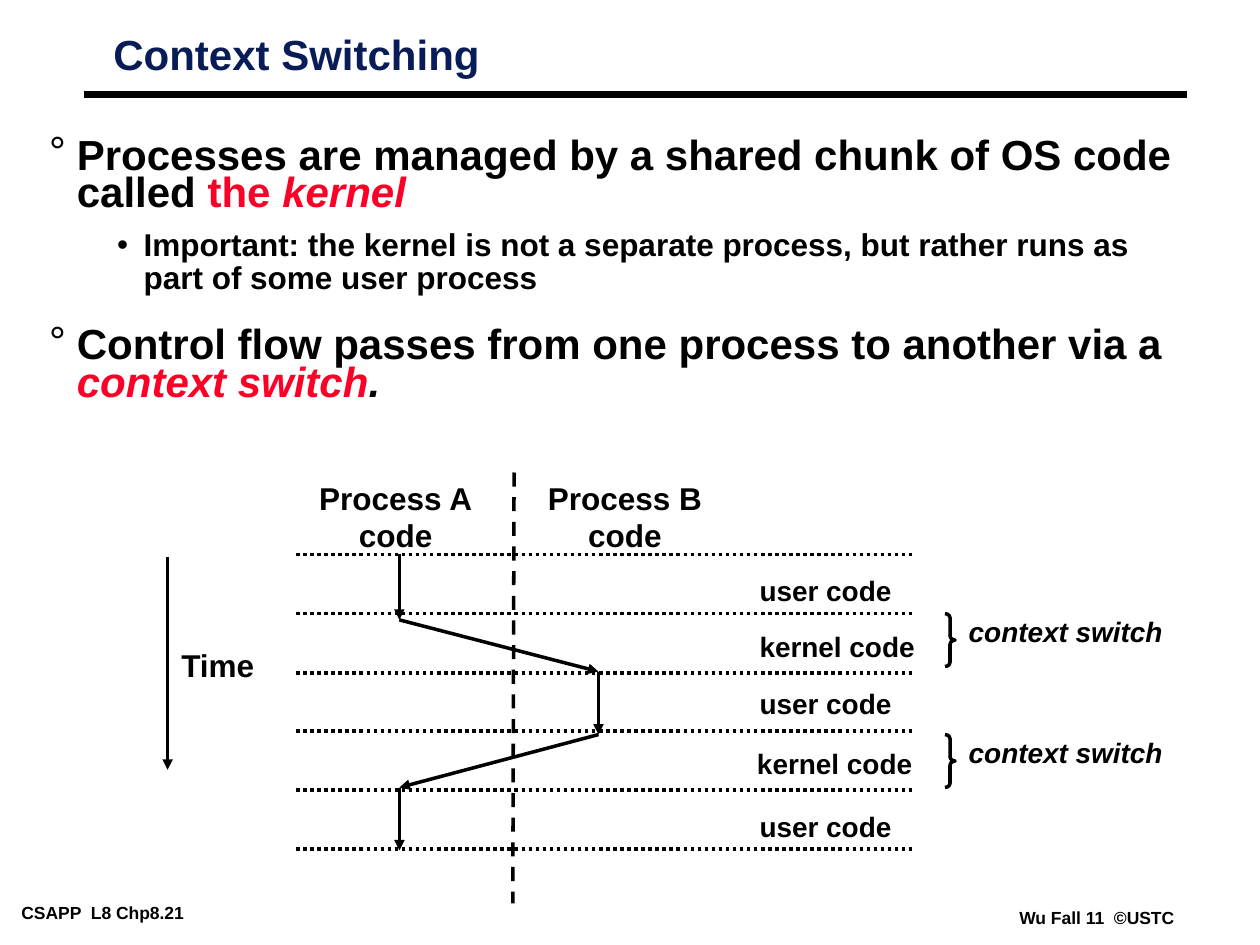
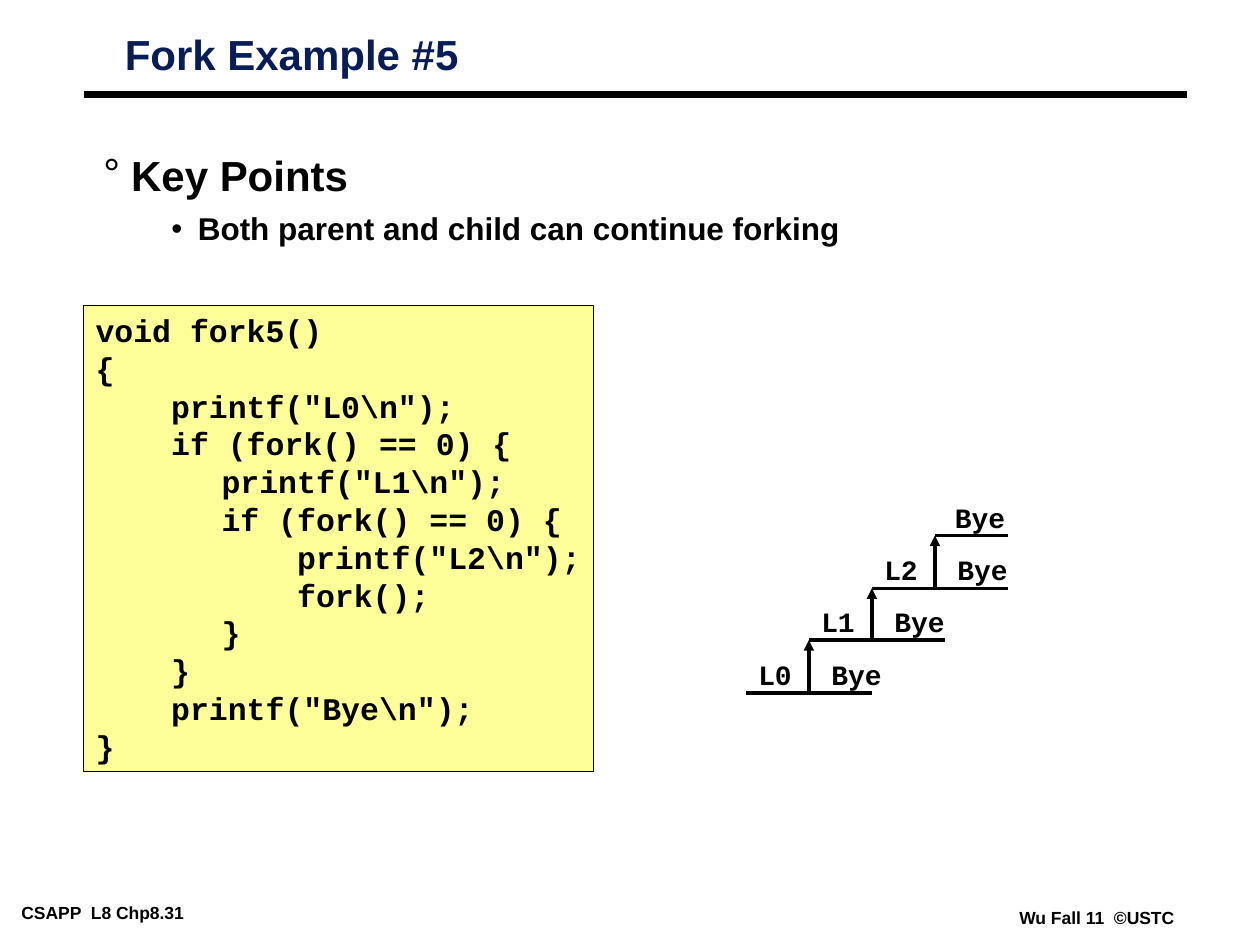
from dataclasses import dataclass

from lxml import etree
from pptx import Presentation
from pptx.dml.color import RGBColor
from pptx.enum.dml import MSO_LINE
from pptx.enum.shapes import MSO_CONNECTOR, MSO_SHAPE
from pptx.enum.text import MSO_ANCHOR, MSO_AUTO_SIZE, PP_ALIGN
from pptx.oxml.ns import qn
from pptx.util import Pt

PX = 9144
DASH, DOT = MSO_LINE.DASH, MSO_LINE.ROUND_DOT
STRAIGHT = MSO_CONNECTOR.STRAIGHT
RECT, BRACE = MSO_SHAPE.RECTANGLE, MSO_SHAPE.RIGHT_BRACE
TOP, FIXED = MSO_ANCHOR.TOP, MSO_AUTO_SIZE.NONE
LEFT, CENTER = PP_ALIGN.LEFT, PP_ALIGN.CENTER


@dataclass(frozen=True)
class Theme:
    black: str = "000000"
    navy: str = "081D58"
    red: str = "FC0128"
    cream: str = "FFFF99"
    sans: str = "Arial"
    mono: str = "Courier New"
    head: int = 24
    text: int = 18
    label: int = 16
    foot: int = 10


theme = Theme()
LEVELS = (
    dict(mark="°", left=22, hang=-22, lead=0.75, gap=19.5, size=theme.head),
    dict(mark="•", left=75, hang=-21, lead=0.85, gap=9, size=theme.text),
)


def write(shape, at, lines, size=theme.label, font=theme.sans, ink=theme.black,
          italic=False, align=LEFT, wrap=False, pad=(10, 5), lead=None, levels=()):
    shape.left, shape.top, shape.width, shape.height = (n * PX for n in at)
    frame = shape.text_frame
    frame.auto_size, frame.word_wrap, frame.vertical_anchor = FIXED, wrap, TOP
    frame.margin_left = frame.margin_right = pad[0] * PX
    frame.margin_top = frame.margin_bottom = pad[1] * PX
    for i, line in enumerate(lines):
        para = frame.paragraphs[0] if i == 0 else frame.add_paragraph()
        para.alignment = align
        props = para._p.get_or_add_pPr()
        points = size
        if lead:
            para.line_spacing = lead
        if levels:
            rule = LEVELS[levels[i]]
            points = rule["size"]
            para.level = levels[i]
            para.line_spacing = rule["lead"]
            para.space_before = Pt(rule["gap"] if i else 0)
            props.set("marL", str(rule["left"] * PX))
            props.set("indent", str(rule["hang"] * PX))
            tint = etree.SubElement(props, qn("a:buClr"))
            etree.SubElement(tint, qn("a:srgbClr"), val=theme.black)
            etree.SubElement(props, qn("a:buFont"), typeface=theme.sans)
            etree.SubElement(props, qn("a:buChar"), char=rule["mark"])
        runs = [(line, ink, italic)] if isinstance(line, str) else line
        if "\t" in runs[0][0]:
            tabs = etree.SubElement(props, qn("a:tabLst"))
            etree.SubElement(tabs, qn("a:tab"), pos=str(100 * PX), algn="l")
        for words, color, slant in runs:
            run = para.add_run()
            run.text = words
            run.font.name, run.font.size = font, Pt(points)
            run.font.bold, run.font.italic = True, slant
            run.font.color.rgb = RGBColor.from_string(color)


def draw(slide, start, end, width=2, dash=None, arrow=False):
    line = slide.shapes.add_connector(STRAIGHT, *(n * PX for n in (*start, *end)))
    line.line.color.rgb = RGBColor.from_string(theme.black)
    line.line.width = Pt(width)
    if dash:
        line.line.dash_style = dash
    if arrow:
        etree.SubElement(line.line._get_or_add_ln(), qn("a:tailEnd"), type="triangle")
    etree.SubElement(line._element.spPr, qn("a:effectLst"))


deck = Presentation()
deck.slide_width, deck.slide_height = 1000 * PX, 750 * PX
layout = deck.slide_layouts[1]

switch_points = [
    [("Processes are managed by a shared chunk of OS code called ", theme.black, False),
     ("the ", theme.red, False), ("kernel", theme.red, True)],
    "Important: the kernel is not a separate process, but rather runs as part of some user process",
    [("Control flow passes from one process to another via a ", theme.black, False),
     ("context switch", theme.red, True), (".", theme.black, True)],
]
fork_points = ["Key Points", "Both parent and child can continue forking"]
pages = (
    ("Context Switching", (83, 25, 639, 63), "CSAPP  L8 Chp8.21",
     (32, 108, 907, 257), switch_points, (0, 1, 0)),
    ("Fork Example #5", (92, 25, 615, 63), "CSAPP  L8 Chp8.31",
     (75, 125, 858, 242), fork_points, (0, 1)),
)
for title, spot, foot, area, points, levels in pages:
    slide = deck.slides.add_slide(layout)
    write(slide.shapes.title, spot, [title], size=theme.head, ink=theme.navy,
          wrap=True, pad=(7, 3), lead=0.87)
    write(slide.placeholders[1], area, points, wrap=True, pad=(7, 3), levels=levels)
    draw(slide, (67, 75), (942, 75), width=4.5)
    for words, at in ((foot, (10, 713, 195, 22)), ("Wu Fall 11  ©USTC", (802, 717, 150, 22))):
        write(slide.shapes.add_textbox(0, 0, 0, 0), at, [words], size=theme.foot,
              wrap=True, pad=(7, 3))

switch, fork = deck.slides

for name, x in (("Process A", 243), ("Process B", 425)):
    write(switch.shapes.add_textbox(0, 0, 0, 0), (x, 375, 142, 70), [name, "code"],
          size=theme.text, align=CENTER)
flow = ((317, 440), (317, 492), (475, 533), (475, 583), (317, 625), (317, 675))
for start, end in zip(flow, flow[1:]):
    draw(switch, start, end, arrow=True)
draw(switch, (408, 375), (407, 717), dash=DASH)
for row in range(6):
    y = round(440 + 46.8 * row)
    draw(switch, (235, y), (726, y), dash=DOT)
stages = (("user code", 593, 450, 124), ("kernel code", 593, 495, 143),
          ("user code", 593, 540, 124), ("kernel code", 591, 588, 143),
          ("user code", 593, 638, 124))
for words, x, y, width in stages:
    write(switch.shapes.add_textbox(0, 0, 0, 0), (x, y, width, 37), [words])
draw(switch, (133, 442), (133, 611), arrow=True)
write(switch.shapes.add_textbox(0, 0, 0, 0), (134, 508, 78, 40), ["Time"], size=theme.text)
for y in (487, 583):
    brace = switch.shapes.add_shape(BRACE, 750 * PX, y * PX, 8 * PX, 42 * PX)
    brace.adjustments[0] = 0.42
    brace.shadow.inherit = False
    brace.fill.background()
    brace.line.color.rgb = RGBColor.from_string(theme.black)
    brace.line.width = Pt(2)
    write(switch.shapes.add_textbox(0, 0, 0, 0), (759, y - 4, 174, 37),
          ["context switch"], italic=True)

code = r"""void fork5()
{
    printf("L0\n");
    if (fork() == 0) {
	printf("L1\n");
	if (fork() == 0) {
	    printf("L2\n");
	    fork();
	}
    }
    printf("Bye\n");
}"""
panel = fork.shapes.add_shape(RECT, 0, 0, 0, 0)
panel.shadow.inherit = False
panel.fill.solid()
panel.fill.fore_color.rgb = RGBColor.from_string(theme.cream)
panel.line.color.rgb = RGBColor.from_string(theme.black)
panel.line.width = Pt(0.25)
write(panel, (66, 242, 405, 370), code.split("\n"), size=theme.text, font=theme.mono)

rows = [round(550 - 125 * step / 3) for step in range(4)]
tags = [("Bye", 748, rows[3], 60)]
for step, reach in enumerate((50, 58, 58)):
    x, y = 592 + 50 * step, rows[step]
    mid = x + 50
    draw(fork, (x, y), (mid, y))
    draw(fork, (mid, y), (mid + reach, y))
    draw(fork, (mid, y), (mid, rows[step + 1]), arrow=True)
    tags += [(f"L{step}", x, y, 46), ("Bye", mid + 8, y, 60)]
draw(fork, (742, rows[3]), (800, rows[3]))
for words, x, y, width in tags:
    write(fork.shapes.add_textbox(0, 0, 0, 0), (x, y - 33, width, 37), [words], font=theme.mono)

deck.save("out.pptx")
